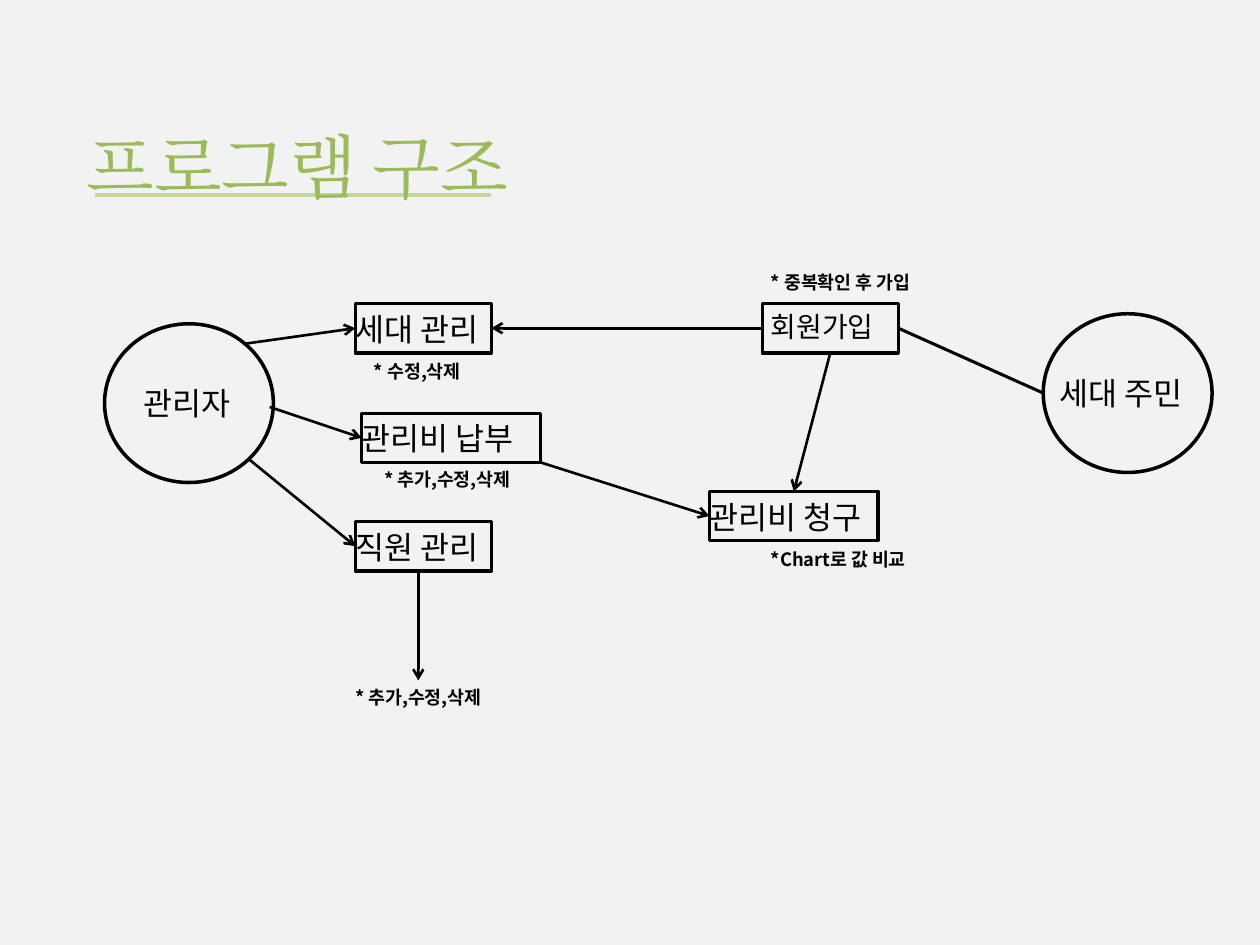
import pptx
import pptx.dml.color
import pptx.enum.dml
import pptx.enum.shapes
import pptx.oxml.ns
import pptx.util
from lxml import etree

Inches = pptx.util.Inches
SHAPE = pptx.enum.shapes.MSO_SHAPE
COLORS = {"bg": "F2F2F2", "title": "9BBB59", "rule": "C3D69B", "ink": "000000"}
FONT = "Noto Sans CJK KR"
TOP, LEFT, BOTTOM, RIGHT = range(4)


def rgb(name):
    return pptx.dml.color.RGBColor.from_string(COLORS[name])


def add_text(s, text, x, y, w, h, size=18, bold=False, font=FONT, color="ink"):
    tf = s.shapes.add_textbox(Inches(x), Inches(y), Inches(w), Inches(h)).text_frame
    tf.word_wrap = True
    r = tf.paragraphs[0].add_run()
    r.text = text
    r.font.size = pptx.util.Pt(size)
    r.font.bold = bold
    r.font.name = font
    r.font.color.rgb = rgb(color)
    ea = etree.SubElement(r.font._element, pptx.oxml.ns.qn("a:ea"))
    ea.set("typeface", font)


def add_outline(s, kind, x, y, w, h):
    sp = s.shapes.add_shape(kind, Inches(x), Inches(y), Inches(w), Inches(h))
    sp.shadow.inherit = False
    sp.fill.background()
    sp.line.color.rgb = rgb("ink")
    sp.line.width = pptx.util.Pt(2)
    return sp


def add_line(s, start, end, width=1.5, color="ink", arrow=True):
    """Each end is an (x, y) point or a (rectangle, side) pair."""
    points = [(0, 0) if hasattr(e[0], "shape_id") else e for e in (start, end)]
    line = s.shapes.add_connector(
        pptx.enum.shapes.MSO_CONNECTOR.STRAIGHT,
        *[Inches(v) for point in points for v in point])
    for e, connect in ((start, line.begin_connect), (end, line.end_connect)):
        if hasattr(e[0], "shape_id"):
            connect(*e)
    line.line.color.rgb = rgb(color)
    line.line.width = pptx.util.Pt(width)
    if arrow:
        tail = etree.SubElement(line.line._get_or_add_ln(), pptx.oxml.ns.qn("a:tailEnd"))
        tail.set("type", "arrow")
    etree.SubElement(line._element.spPr, pptx.oxml.ns.qn("a:effectLst"))


def add_title(s, x, y, w, h):
    add_line(s, (x + 0.16, y + 0.62), (x + 3.31, y + 0.62), 2.5, "rule", arrow=False)
    add_text(s, "프로그램 구조", x, y, w, h, size=40, font="Cambria", color="title")


def add_actor(s, text, x, y, indent):
    add_outline(s, SHAPE.OVAL, x, y, 1.34, 1.26)
    add_text(s, text, x + indent, y + 0.43, 1.34, 0.4)


def add_task(s, text, x, y, w=1.08, indent=-0.1, size=18):
    add_text(s, text, x + indent, y, w + 0.26, 0.4, size=size)
    return add_outline(s, SHAPE.RECTANGLE, x, y, w, 0.39)


def add_diagram(s, x, y):
    """Place the whole diagram with its top left corner at x, y."""
    def at(dx, dy):
        return x + dx, y + dy

    # Actors and their tasks
    add_actor(s, "관리자", *at(0, 0.47), indent=0.21)
    add_actor(s, "세대 주민", *at(7.45, 0.39), indent=0.03)
    household = add_task(s, "세대 관리", *at(1.99, 0.31))
    payment = add_task(s, "관리비 납부", *at(2.04, 1.18), w=1.42)
    staff = add_task(s, "직원 관리", *at(1.99, 2.04))
    billing = add_task(s, "관리비 청구", *at(4.8, 1.8), w=1.34)
    signup = add_task(s, "회원가입", *at(5.22, 0.31), indent=-0.03, size=16)

    # Links
    add_line(s, (signup, RIGHT), at(7.45, 1.02), 1.75, arrow=False)
    for start, end in (
        ((signup, LEFT), (household, RIGHT)),
        (at(1.31, 1.13), (payment, LEFT)),
        (at(1.14, 1.54), (staff, LEFT)),
        (at(1.1, 0.63), (household, LEFT)),
        (at(3.46, 1.57), (billing, LEFT)),
        ((signup, BOTTOM), (billing, TOP)),
        (at(2.49, 2.44), at(2.49, 3.3)),
    ):
        add_line(s, start, end)

    # Notes beside the tasks
    for text, dx, dy, w in (
        ("* 추가,수정,삭제", 2.12, 1.57, 1.6),
        ("* 추가,수정,삭제", 1.89, 3.3, 1.6),
        ("* 수정,삭제", 2.04, 0.71, 1.6),
        ("* 중복확인 후 가입", 5.19, 0, 1.97),
        ("*Chart로 값 비교", 5.19, 2.2, 1.97),
    ):
        add_text(s, text, *at(dx, dy), w, 0.29, size=10.5, bold=True)


def main():
    prs = pptx.Presentation()
    prs.slide_width, prs.slide_height = Inches(10), Inches(7.5)
    s = prs.slides.add_slide(prs.slide_layouts[6])
    s.background.fill.solid()
    s.background.fill.fore_color.rgb = rgb("bg")
    add_title(s, 0.59, 0.93, 4.09, 0.77)
    add_diagram(s, 0.83, 2.1)
    prs.save("out.pptx")


if __name__ == "__main__":
    main()
